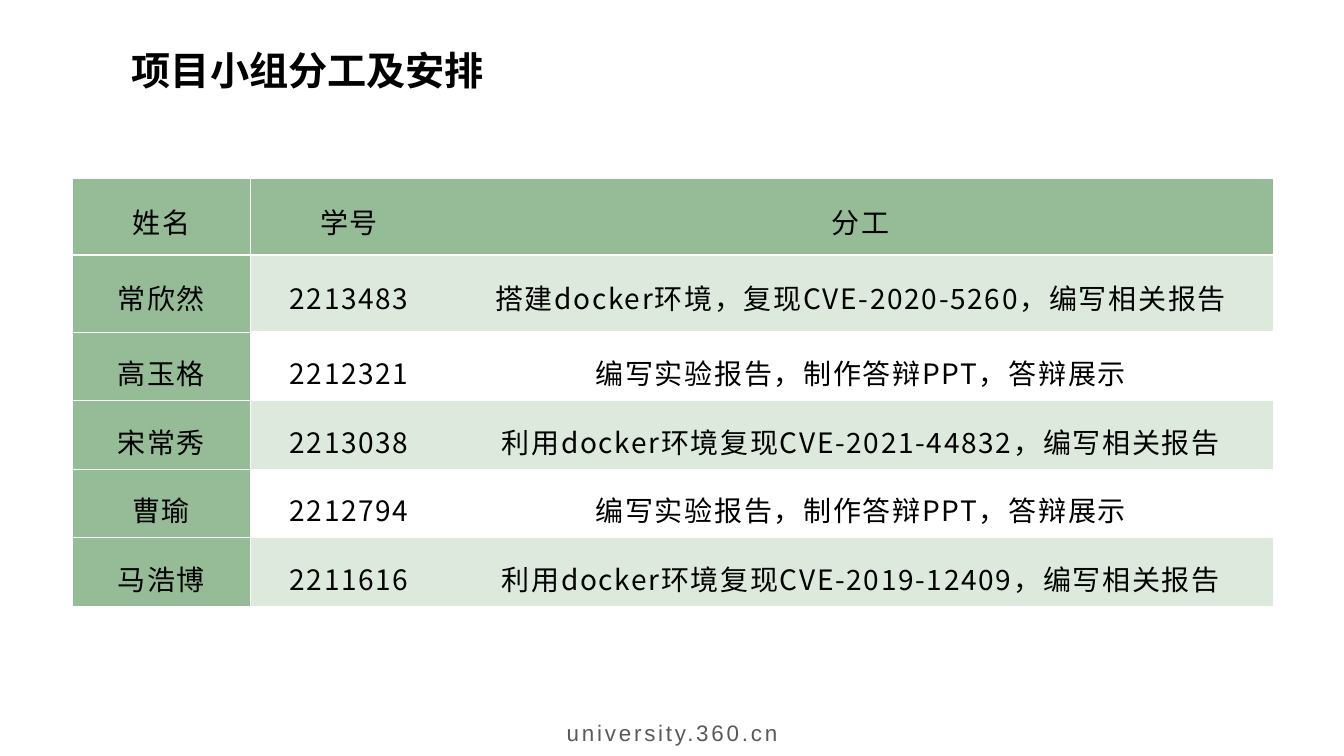
from lxml.etree import SubElement
from pptx import Presentation
from pptx.dml.color import RGBColor
from pptx.enum.text import MSO_ANCHOR, PP_ALIGN
from pptx.oxml.ns import qn
from pptx.util import Pt

COLORS = {"black": "000000", "gray": "595959", "white": "FFFFFF",
          "green": "95BC96", "pale": "DCE9DC"}
CHINESE_FONT = "Noto Sans CJK SC"
NO_STYLE = "{2D5ABB26-0587-4C30-8999-92F81FD0307C}"
COLUMN_WIDTHS = [126.7, 141.8, 589]
ROW_HEIGHTS = [54, 55, 49, 49, 49, 49]
ASSIGNMENTS = [
    ("姓名", "学号", "分工"),
    ("常欣然", "2213483", "搭建docker环境，复现CVE-2020-5260，编写相关报告"),
    ("高玉格", "2212321", "编写实验报告，制作答辩PPT，答辩展示"),
    ("宋常秀", "2213038", "利用docker环境复现CVE-2021-44832，编写相关报告"),
    ("曹瑜", "2212794", "编写实验报告，制作答辩PPT，答辩展示"),
    ("马浩博", "2211616", "利用docker环境复现CVE-2019-12409，编写相关报告"),
]


def write_text(frame, text, size=20, font=CHINESE_FONT, color="black",
               bold=False, tracking=0, line_spacing=1.0):
    """Write one centred paragraph into a text frame."""
    para = frame.paragraphs[0]
    para.alignment = PP_ALIGN.CENTER
    para.line_spacing = line_spacing
    span = para.add_run()
    span.text = text
    span.font.size = Pt(size)
    span.font.name = font
    span.font.bold = bold
    span.font.color.rgb = RGBColor.from_string(COLORS[color])
    properties = span.font._element
    properties.set("spc", str(round(tracking * 100)))
    SubElement(properties, qn("a:ea"), typeface=font)


def add_text_box(page, text, left, top, width, height, wrap=True,
                 anchor=MSO_ANCHOR.TOP, **text_format):
    """Add a text box with a single formatted paragraph."""
    box = page.shapes.add_textbox(Pt(left), Pt(top), Pt(width), Pt(height))
    frame = box.text_frame
    frame.word_wrap = wrap
    frame.vertical_anchor = anchor
    frame.margin_top = frame.margin_bottom = Pt(3.6)
    write_text(frame, text, **text_format)


def add_border(cell, side, width):
    """Draw a white border on one side of a cell."""
    line = SubElement(cell._tc.get_or_add_tcPr(), qn(f"a:ln{side}"), w=str(Pt(width)))
    fill = SubElement(line, qn("a:solidFill"))
    SubElement(fill, qn("a:srgbClr"), val=COLORS["white"])


def format_cell(cell, text, row, column):
    """Fill a cell according to its place in the table."""
    cell.margin_left = cell.margin_right = Pt(13.7)
    cell.margin_top = cell.margin_bottom = Pt(8.6)
    cell.vertical_anchor = MSO_ANCHOR.MIDDLE
    if column == 0:
        add_border(cell, "R", 0.5)
    if row == 1:
        add_border(cell, "T", 2.25)
    elif row > 1 and column == 0:
        add_border(cell, "T", 0.5)
    if row == 0:
        add_border(cell, "B", 2.25)
    elif column == 0 and row < len(ASSIGNMENTS) - 1:
        add_border(cell, "B", 0.5)
    if row == 0 or column == 0:
        color = "green"
    else:
        color = "pale" if row % 2 else "white"
    cell.fill.solid()
    cell.fill.fore_color.rgb = RGBColor.from_string(COLORS[color])
    write_text(cell.text_frame, text, tracking=1.2 if row else 1.3, line_spacing=1.2)


def add_assignment_table(page, left, top):
    """Add the table of group members and their tasks."""
    table = page.shapes.add_table(
        len(ROW_HEIGHTS), len(COLUMN_WIDTHS), Pt(left), Pt(top),
        Pt(sum(COLUMN_WIDTHS)), Pt(sum(ROW_HEIGHTS))).table
    table.horz_banding = False
    table._tbl.tblPr.find(qn("a:tableStyleId")).text = NO_STYLE
    for column, width in zip(table.columns, COLUMN_WIDTHS):
        column.width = Pt(width)
    for row, height in zip(table.rows, ROW_HEIGHTS):
        row.height = Pt(height)
    for row, texts in enumerate(ASSIGNMENTS):
        for column, text in enumerate(texts):
            format_cell(table.cell(row, column), text, row, column)


def main():
    """Build the slide and save the deck."""
    deck = Presentation()
    deck.slide_width, deck.slide_height = Pt(960), Pt(540)
    page = deck.slides.add_slide(deck.slide_layouts[6])
    add_text_box(page, "university.360.cn", 94.3, 509, 771.8, 28,
                 anchor=MSO_ANCHOR.BOTTOM, size=16, font="Arial",
                 color="gray", tracking=2, line_spacing=0.9)
    add_text_box(page, "项目小组分工及安排", 17.3, 29.5, 405.4, 57.6,
                 wrap=False, size=28, bold=True)
    add_assignment_table(page, 51.8, 128.2)
    deck.save("out.pptx")


if __name__ == "__main__":
    main()
